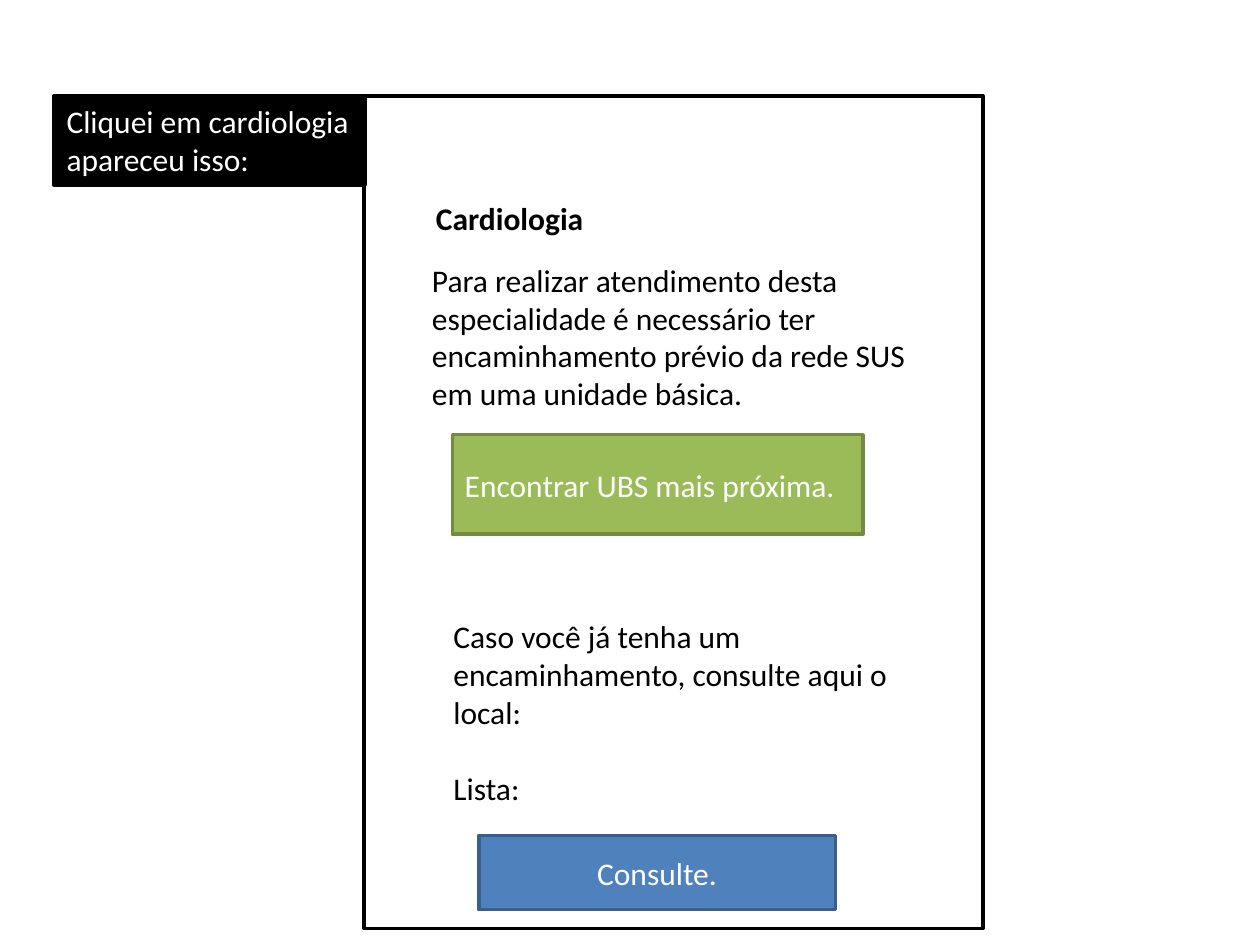
from dataclasses import dataclass

import pptx
import pptx.dml.color
import pptx.enum.shapes
import pptx.enum.text
import pptx.util
from pptx.util import Inches

COLORS = {
    "black": "000000",
    "white": "FFFFFF",
    "green": "9BBB59",
    "green_edge": "738A42",
    "blue": "4F81BD",
    "blue_edge": "3A5F8C",
}
ALIGN = pptx.enum.text.PP_ALIGN
ANCHOR = pptx.enum.text.MSO_ANCHOR


@dataclass
class Block:
    left: float
    top: float
    width: float
    height: float
    text: str = ""
    color: str = "black"
    fill: str | None = None
    line: str | None = None
    align: ALIGN = ALIGN.LEFT
    anchor: ANCHOR = ANCHOR.TOP
    wrap: bool = True
    bold: bool = False
    gap: float = 0


TITLE = Block(3.36, 1.53, 1.38, 0.4, "Cardiologia", wrap=False, bold=True)
BLOCKS = [
    Block(2.89, 0.76, 4.91, 6.61, line="black"),
    Block(3.33, 2.02, 4.02, 2.22,
          "Para realizar atendimento desta especialidade é necessário ter "
          "encaminhamento prévio da rede SUS em uma unidade básica."),
    Block(3.59, 3.45, 3.26, 0.79, "Encontrar UBS mais próxima.", "white",
          "green", "green_edge", anchor=ANCHOR.MIDDLE),
    Block(0.43, 0.76, 2.47, 0.71, "Cliquei em cardiologia\napareceu isso:",
          "white", "black", "black", wrap=False),
    Block(3.5, 4.85, 3.69, 1.62,
          "Caso você já tenha um encaminhamento, consulte aqui o local:\nLista:",
          gap=22),
    Block(3.8, 6.63, 2.83, 0.59, "Consulte.", "white", "blue", "blue_edge",
          align=ALIGN.CENTER, anchor=ANCHOR.MIDDLE),
]


def rgb(name: str) -> pptx.dml.color.RGBColor:
    return pptx.dml.color.RGBColor.from_string(COLORS[name])


def write_text(box, block: Block) -> None:
    frame = box.text_frame
    frame.text = block.text
    frame.word_wrap = block.wrap
    frame.auto_size = pptx.enum.text.MSO_AUTO_SIZE.NONE
    frame.vertical_anchor = block.anchor
    for index, para in enumerate(frame.paragraphs):
        para.alignment = block.align
        para.space_before = pptx.util.Pt(block.gap if index else 0)
        for span in para.runs:
            span.font.name = "Calibri"
            span.font.size = pptx.util.Pt(18)
            span.font.bold = block.bold
            span.font.color.rgb = rgb(block.color)


def draw_block(page, block: Block) -> None:
    place = [Inches(v) for v in (block.left, block.top, block.width, block.height)]
    if block.line:
        box = page.shapes.add_shape(pptx.enum.shapes.MSO_SHAPE.RECTANGLE, *place)
        box.shadow.inherit = False
        box.line.color.rgb = rgb(block.line)
        box.line.width = pptx.util.Pt(2)
        if block.fill:
            box.fill.solid()
            box.fill.fore_color.rgb = rgb(block.fill)
        else:
            box.fill.background()
    else:
        box = page.shapes.add_textbox(*place)
    if block.text:
        write_text(box, block)


def place_title(page, block: Block) -> None:
    title = page.shapes.title
    title.left, title.top = Inches(block.left), Inches(block.top)
    title.width, title.height = Inches(block.width), Inches(block.height)
    write_text(title, block)


def main() -> None:
    deck = pptx.Presentation()
    deck.slide_width, deck.slide_height = Inches(10), Inches(7.5)
    page = deck.slides.add_slide(deck.slide_layouts[5])
    place_title(page, TITLE)
    for block in BLOCKS:
        draw_block(page, block)
    deck.save("out.pptx")


if __name__ == "__main__":
    main()
